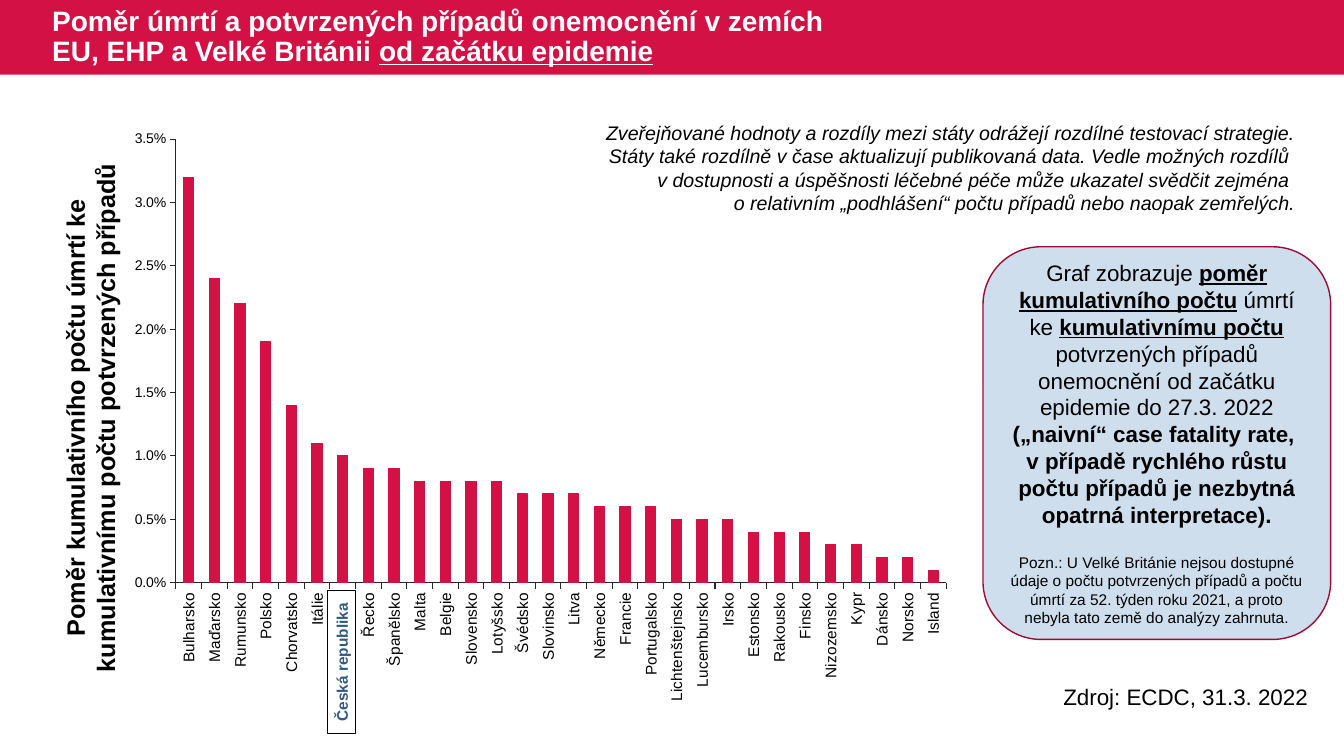
from dataclasses import dataclass
from lxml.etree import SubElement
from pptx import Presentation
from pptx.chart.data import CategoryChartData
from pptx.dml.color import RGBColor
from pptx.enum.chart import XL_CHART_TYPE, XL_TICK_MARK
from pptx.enum.shapes import MSO_SHAPE
from pptx.enum.text import MSO_ANCHOR, MSO_AUTO_SIZE, PP_ALIGN
from pptx.oxml.ns import qn
from pptx.util import Inches, Pt


@dataclass(frozen=True)
class Theme:
    font: str = "Arial"
    red: str = "D31145"
    dark_red: str = "9C0D33"
    pale_blue: str = "CFDEED"
    blue: str = "305983"
    axis: str = "262626"
    black: str = "000000"
    white: str = "FFFFFF"
    title: int = 20
    heading: int = 18
    body: int = 16
    remark: int = 14
    small: int = 11
    scale: int = 10


@dataclass(frozen=True)
class Box:
    left: float
    top: float
    width: float
    height: float

    def lengths(self):
        return [int(cells * CELL) for cells in (self.left, self.top, self.width, self.height)]

    def turned(self):
        shift = (self.height - self.width) / 2
        return Box(self.left - shift, self.top + shift, self.height, self.width)


THEME = Theme()
COLUMNS, ROWS = 128, 72
CELL = Inches(7.5) / ROWS
PLOT = Box(0.07, 0.05, 0.91, 0.74)
HIGHLIGHT = "Česká republika"
RATIOS = {
    0.032: ["Bulharsko"],
    0.024: ["Maďarsko"],
    0.022: ["Rumunsko"],
    0.019: ["Polsko"],
    0.014: ["Chorvatsko"],
    0.011: ["Itálie"],
    0.01: [HIGHLIGHT],
    0.009: ["Řecko", "Španělsko"],
    0.008: ["Malta", "Belgie", "Slovensko", "Lotyšsko"],
    0.007: ["Švédsko", "Slovinsko", "Litva"],
    0.006: ["Německo", "Francie", "Portugalsko"],
    0.005: ["Lichtenštejnsko", "Lucembursko", "Irsko"],
    0.004: ["Estonsko", "Rakousko", "Finsko"],
    0.003: ["Nizozemsko", "Kypr"],
    0.002: ["Dánsko", "Norsko"],
    0.001: ["Island"],
}


def colour(value):
    return RGBColor.from_string(value)


def style(font, size, shade=THEME.black, bold=None, italic=None):
    font.name, font.size = THEME.font, Pt(size)
    font.bold, font.italic = bold, italic
    font.color.rgb = colour(shade)


def add_spans(para, spans):
    for text, marks in spans:
        for number, line in enumerate(text.split("\n")):
            if number:
                para.add_line_break()
            if line:
                span = para.add_run()
                span.text = line
                if "b" in marks:
                    span.font.bold = True
                if "u" in marks:
                    span.font.underline = True


def add_panel(page, box, kind, fill, line=None):
    panel = page.shapes.add_shape(kind, *box.lengths())
    panel.shadow.inherit = False
    panel.fill.solid()
    panel.fill.fore_color.rgb = colour(fill)
    if line:
        panel.line.color.rgb = colour(line)
        panel.line.width = Pt(1)
    else:
        panel.line.fill.background()
    panel.text_frame.word_wrap = True
    panel.text_frame.vertical_anchor = MSO_ANCHOR.MIDDLE
    return panel


def add_label(page, box, lines, size, align=PP_ALIGN.LEFT, **marks):
    label = page.shapes.add_textbox(*box.lengths())
    frame = label.text_frame
    frame.word_wrap = True
    for number, line in enumerate(lines):
        para = frame.add_paragraph() if number else frame.paragraphs[0]
        add_spans(para, [(line, "")])
        para.alignment = align
        style(para.font, size, **marks)
    return label


def add_header(page, box):
    add_panel(page, box, MSO_SHAPE.RECTANGLE, THEME.red)
    title = page.shapes.title
    title.element.getparent().append(title.element)
    area = Box(box.left + 4, box.top, box.width * 0.61, box.height)
    title.left, title.top, title.width, title.height = area.lengths()
    frame = title.text_frame
    frame.word_wrap = True
    frame.auto_size = MSO_AUTO_SIZE.NONE
    frame.vertical_anchor = MSO_ANCHOR.MIDDLE
    para = frame.paragraphs[0]
    add_spans(para, [
        ("Poměr úmrtí a potvrzených případů onemocnění v zemích EU, EHP a Velké Británii ", ""),
        ("od začátku epidemie", "u"),
    ])
    para.alignment = PP_ALIGN.LEFT
    para.line_spacing = 0.9
    style(para.font, THEME.title, THEME.white, bold=True)


def set_plot_area(chart):
    area = chart._chartSpace.find(".//" + qn("c:plotArea"))
    for old in area.findall(qn("c:layout")):
        area.remove(old)
    layout = SubElement(area, qn("c:layout"))
    area.insert(0, layout)
    manual = SubElement(layout, qn("c:manualLayout"))
    settings = {"layoutTarget": "inner", "xMode": "edge", "yMode": "edge",
                "x": PLOT.left, "y": PLOT.top, "w": PLOT.width, "h": PLOT.height}
    for name, value in settings.items():
        SubElement(manual, qn("c:" + name)).set("val", str(value))
    labels = area.find(qn("c:catAx")).find(qn("c:txPr")).find(qn("a:bodyPr"))
    labels.set("rot", "-5400000")
    labels.set("vert", "horz")


def add_ratio_chart(page, box):
    countries = [name for names in RATIOS.values() for name in names]
    data = CategoryChartData(number_format="0.0%")
    data.categories = countries
    data.add_series("Series 1", [ratio for ratio, names in RATIOS.items() for name in names])
    chart = page.shapes.add_chart(XL_CHART_TYPE.COLUMN_CLUSTERED, *box.lengths(), data).chart
    chart.has_legend = chart.has_title = False
    style(chart.font, THEME.scale)
    plot = chart.plots[0]
    plot.gap_width = 150
    plot.vary_by_categories = False
    bars = plot.series[0].format
    bars.fill.solid()
    bars.fill.fore_color.rgb = bars.line.color.rgb = colour(THEME.red)
    bars.line.width = Pt(0.75)
    for axis, size in ((chart.category_axis, THEME.small), (chart.value_axis, THEME.scale)):
        axis.has_major_gridlines = False
        axis.major_tick_mark = XL_TICK_MARK.OUTSIDE
        axis.minor_tick_mark = XL_TICK_MARK.NONE
        axis.format.line.color.rgb = colour(THEME.axis)
        axis.format.line.width = Pt(0.75)
        style(axis.tick_labels.font, size)
    scale = chart.value_axis
    scale.minimum_scale, scale.maximum_scale, scale.major_unit = 0, 0.035, 0.005
    scale.tick_labels.number_format = "0.0%"
    scale.tick_labels.number_format_is_linked = False
    set_plot_area(chart)

    slot = (countries.index(HIGHLIGHT) + 0.5) / len(countries)
    centre = box.left + box.width * (PLOT.left + PLOT.width * slot)
    base = box.top + box.height * (PLOT.top + PLOT.height)
    tag_box = Box(centre - 1.45, base + 0.75, 2.7, 13.6).turned()
    tag = add_panel(page, tag_box, MSO_SHAPE.RECTANGLE, THEME.white, THEME.black)
    tag.rotation = 270
    para = tag.text_frame.paragraphs[0]
    para.text = HIGHLIGHT
    para.alignment = PP_ALIGN.CENTER
    style(para.font, THEME.small, THEME.blue, bold=True)


def add_axis_title(page, box):
    label = add_label(page, box.turned(), [
        "Poměr kumulativního počtu úmrtí ke kumulativnímu počtu potvrzených případů",
    ], THEME.heading, PP_ALIGN.CENTER, bold=True)
    label.rotation = 270


def add_callout(page, box):
    frame = add_panel(page, box, MSO_SHAPE.ROUNDED_RECTANGLE, THEME.pale_blue, THEME.dark_red).text_frame
    main, note = frame.paragraphs[0], frame.add_paragraph()
    add_spans(main, [
        ("Graf zobrazuje ", ""),
        ("poměr kumulativního počtu", "bu"),
        (" úmrtí ke ", ""),
        ("kumulativnímu počtu", "bu"),
        (" potvrzených případů onemocnění od začátku epidemie do 27.3. 2022\n", ""),
        ("(„naivní“ case fatality rate, \nv případě rychlého růstu počtu případů "
         "je nezbytná opatrná interpretace).", "b"),
    ])
    note.text = ("Pozn.: U Velké Británie nejsou dostupné údaje o počtu potvrzených případů a počtu "
                 "úmrtí za 52. týden roku 2021, a proto nebyla tato země do analýzy zahrnuta.")
    note.space_before = Pt(18)
    for para, size in ((main, THEME.body), (note, THEME.small)):
        para.alignment = PP_ALIGN.CENTER
        style(para.font, size)


def add_remarks(page, box):
    add_label(page, box, [
        "Zveřejňované hodnoty a rozdíly mezi státy odrážejí rozdílné testovací strategie. "
        "Státy také rozdílně v čase aktualizují publikovaná data. Vedle možných rozdílů \n"
        "v dostupnosti a úspěšnosti léčebné péče může ukazatel svědčit zejména ",
        "o relativním „podhlášení“ počtu případů nebo naopak zemřelých.",
    ], THEME.remark, PP_ALIGN.RIGHT, italic=True)


def main():
    deck = Presentation()
    deck.slide_width, deck.slide_height = Inches(13.33), Inches(7.5)
    page = deck.slides.add_slide(deck.slide_layouts[5])
    add_header(page, Box(0, 0, COLUMNS, 7.1))
    add_axis_title(page, Box(5.2, 13.8, 6.8, 52))
    add_ratio_chart(page, Box(11.1, 10.4, 80.6, 57.1))
    add_callout(page, Box(93.6, 23.5, 33.1, 37.4))
    add_remarks(page, Box(55.9, 11, 68.4, 10))
    add_label(page, Box(100.3, 64.6, 27.7, 3.5), ["Zdroj: ECDC, 31.3. 2022"], THEME.body)
    deck.save("out.pptx")


if __name__ == "__main__":
    main()
